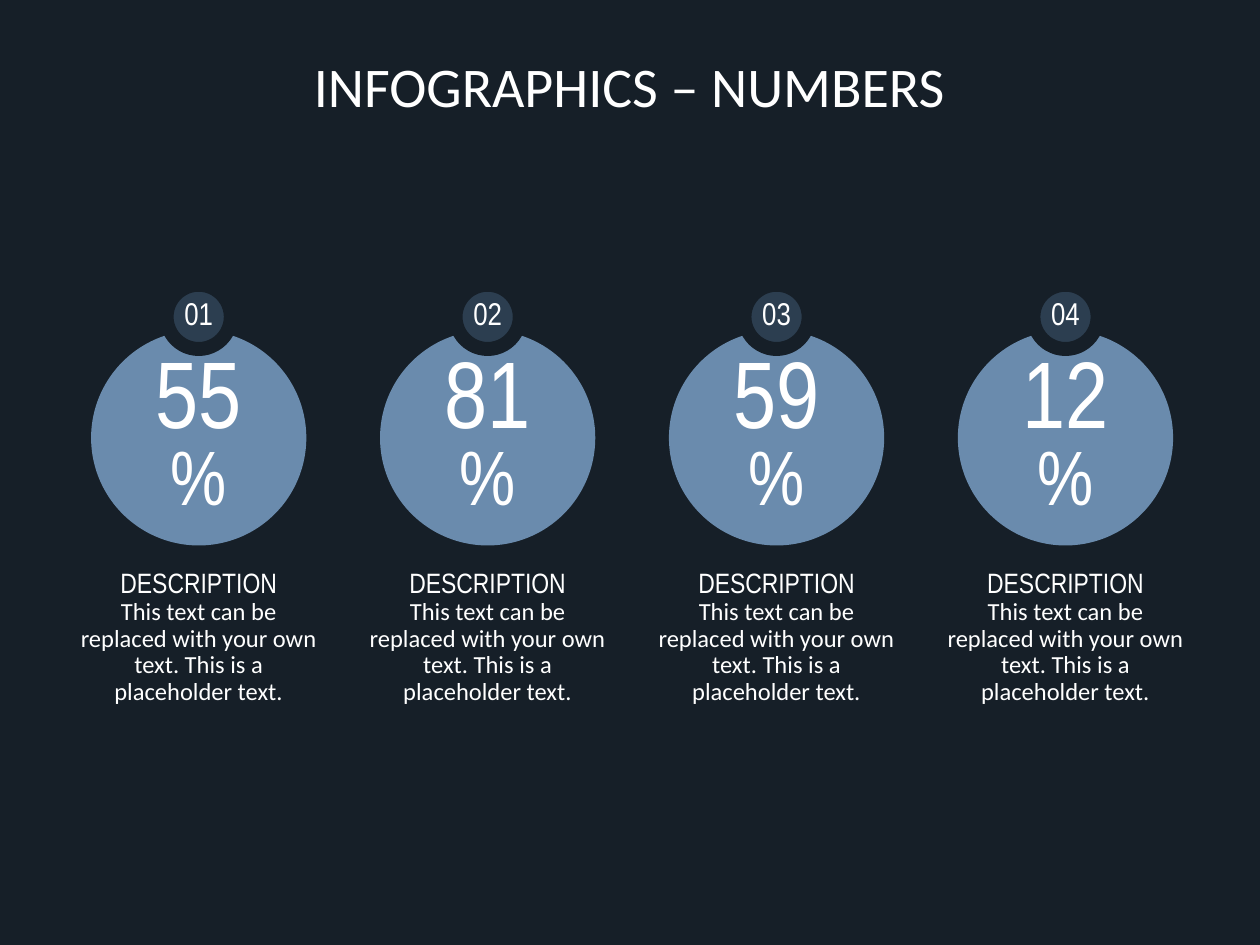
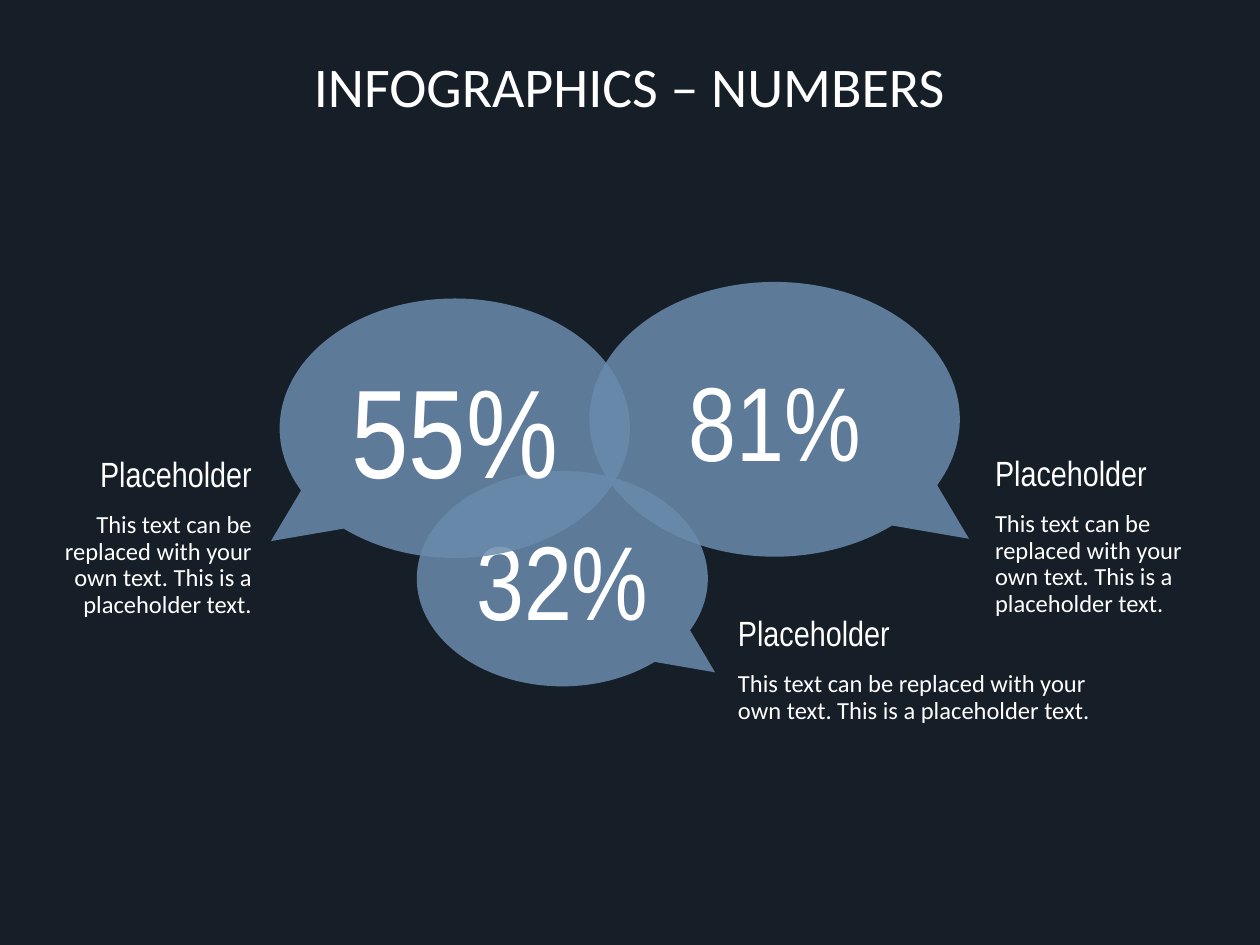
import copy
from dataclasses import dataclass

import pptx
import pptx.dml.color
import pptx.enum.shapes
import pptx.enum.text
import pptx.util
from lxml import etree
from pptx.oxml.ns import qn

Pt = pptx.util.Pt
ALIGN = pptx.enum.text.PP_ALIGN
ANCHOR = pptx.enum.text.MSO_ANCHOR
SHAPE = pptx.enum.shapes.MSO_SHAPE


@dataclass(frozen=True)
class Theme:
    background: str = "161F28"
    accent: str = "6A8BAD"
    badge: str = "2C3E50"
    text: str = "FFFFFF"
    body_font: str = "Calibri"
    number_font: str = "Arial Narrow"
    title_size: int = 32
    heading_size: int = 20
    label_size: int = 16
    body_size: int = 14
    figure_size: int = 54
    percent_size: int = 44
    badge_size: int = 18


THEME = Theme()
TITLE = "INFOGRAPHICS – NUMBERS"
BODY = "This text can be replaced with your own text. This is a placeholder text."


def rgb(value):
    return pptx.dml.color.RGBColor.from_string(value)


def body(text):
    return (text, THEME.body_size, THEME.body_font)


def number(text, size):
    return (text, size, THEME.number_font)


def write(tf, paragraphs, align=ALIGN.CENTER, anchor=ANCHOR.MIDDLE,
          insets=(0, 0, 0, 0), spacing=0.9, after=10):
    """Fill a frame with paragraphs of (text, size, font) runs; newlines become breaks."""
    tf.word_wrap = True
    tf.auto_size = pptx.enum.text.MSO_AUTO_SIZE.NONE
    tf.vertical_anchor = anchor
    tf.margin_left, tf.margin_top, tf.margin_right, tf.margin_bottom = map(Pt, insets)
    for i, runs in enumerate(paragraphs):
        p = tf.add_paragraph() if i else tf.paragraphs[0]
        p.alignment, p.line_spacing, p.space_after = align, spacing, Pt(after)
        for text, size, font in runs:
            for j, line in enumerate(text.split("\n")):
                if j:
                    p.add_line_break()
                    # The break keeps the format of the run before it
                    p._p[-1].append(copy.deepcopy(r._r.rPr))
                if line:
                    r = p.add_run()
                    r.text = line
                    r.font.size, r.font.name = Pt(size), font
                    r.font.color.rgb = rgb(THEME.text)


def add_text(slide, box, paragraphs, **fmt):
    tb = slide.shapes.add_textbox(*map(Pt, box))
    write(tb.text_frame, paragraphs, **fmt)


def add_shape(slide, kind, box, fill, runs, line=None, **fmt):
    s = slide.shapes.add_shape(kind, *map(Pt, box))
    s.shadow.inherit = False
    s.fill.solid()
    s.fill.fore_color.rgb = rgb(fill)
    if line:
        s.line.color.rgb, s.line.width = rgb(line[0]), Pt(line[1])
    else:
        s.line.fill.background()
    write(s.text_frame, [runs], **fmt)
    return s


def add_titled_slide(prs):
    slide = prs.slides.add_slide(prs.slide_layouts[5])
    title = slide.shapes.title
    title.left, title.top, title.width, title.height = map(Pt, (31, 34, 657.5, 85))
    write(title.text_frame, [[(TITLE, THEME.title_size, THEME.body_font)]],
          anchor=ANCHOR.TOP, after=0)
    return slide


def number_column(slide, box, badge, figure):
    """Numbered badge over a circled percentage, with a description below."""
    x, y, w, h = box
    disc, dot, caption_h = 123, 36.7, 65.5
    fmt = dict(insets=(3, 3, 3, 3), spacing=0.8)
    add_text(slide, (x, y + h - caption_h, w, caption_h),
             [[number("DESCRIPTION\n", THEME.label_size), body(BODY)]],
             anchor=ANCHOR.BOTTOM, insets=(14.4, 0, 14.4, 0))
    add_shape(slide, SHAPE.OVAL, (x + (w - disc) / 2, y + 26, disc, disc), THEME.accent,
              [number(figure, THEME.figure_size), number("%", THEME.percent_size)], **fmt)
    add_shape(slide, SHAPE.OVAL, (x + (w - dot) / 2, y, dot, dot), THEME.badge,
              [number(badge, THEME.badge_size)], line=(THEME.background, 8), **fmt)


def circles_slide(prs):
    slide = add_titled_slide(prs)
    left, pitch = 31, 165.1
    for i, figure in enumerate(("55", "81", "59", "12")):
        number_column(slide, (left + i * pitch, 162.7, pitch, 240.5), f"{i + 1:02}", figure)


def bubble(slide, box, figure, size, tail_right):
    """Translucent speech bubble holding a percentage."""
    s = add_shape(slide, SHAPE.OVAL_CALLOUT, box, THEME.accent, [number(figure, size)],
                  insets=(7.2, 3.6, 7.2, 3.6), spacing=1.0, after=0)
    s.adjustments[0], s.adjustments[1] = -0.525, 0.435
    color = s._element.spPr.find(qn("a:solidFill"))[0]
    etree.SubElement(color, qn("a:alpha")).set("val", "85000")
    if tail_right:
        s._element.spPr.find(qn("a:xfrm")).set("flipH", "1")


def caption(slide, box, text=BODY, align=ALIGN.LEFT, insets=(14.4, 0, 14.4, 0)):
    add_text(slide, box, [[number("Placeholder", THEME.heading_size)], [body(text)]],
             align=align, insets=insets)


def bubbles_slide(prs):
    slide = add_titled_slide(prs)
    caption(slide, (31, 259.2, 124.5, 96.5), align=ALIGN.RIGHT, insets=(0, 0, 11.5, 0))
    bubble(slide, (238.2, 269.1, 166.3, 123.1), "32%", 60, True)
    bubble(slide, (336.8, 161.1, 211.7, 157), "81%", 60, True)
    bubble(slide, (159.8, 170.6, 200.2, 148.3), "55%", 72, False)
    caption(slide, (554.2, 258.5, 142, 96.5))
    caption(slide, (407.3, 357.1, 281.5, 51.8),
            BODY.replace("your own", "your \nown"))


def main():
    prs = pptx.Presentation()
    prs.slide_width, prs.slide_height = Pt(720), Pt(540)
    fill = prs.slide_master.background.fill
    fill.solid()
    fill.fore_color.rgb = rgb(THEME.background)
    circles_slide(prs)
    bubbles_slide(prs)
    prs.save("out.pptx")


if __name__ == "__main__":
    main()
